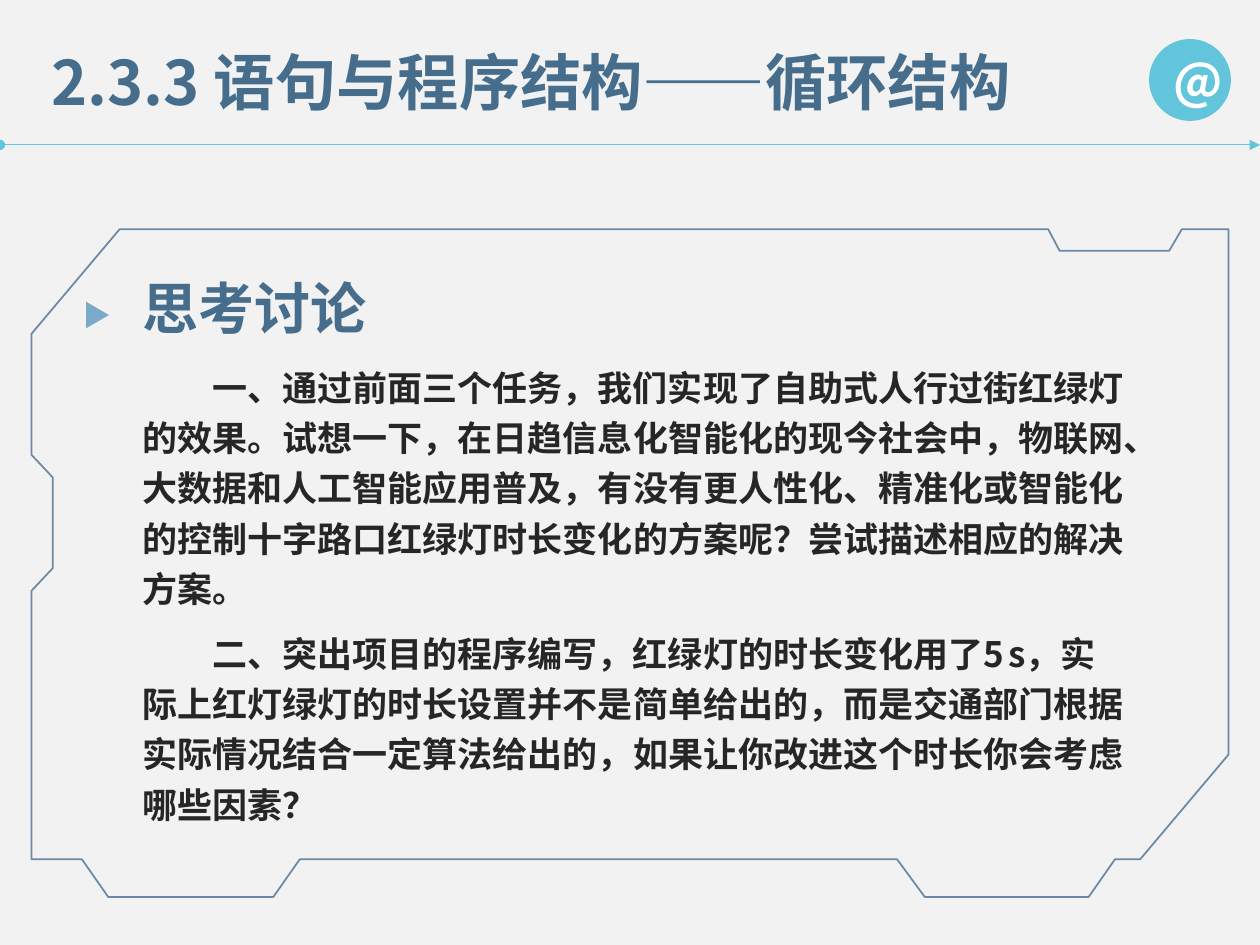
from lxml import etree
from pptx import Presentation
from pptx.dml.color import RGBColor
from pptx.enum.shapes import MSO_CONNECTOR, MSO_SHAPE
from pptx.enum.text import MSO_ANCHOR, MSO_AUTO_SIZE, PP_ALIGN
from pptx.oxml.ns import qn
from pptx.util import Pt

STRAIGHT = MSO_CONNECTOR.STRAIGHT
OVAL = MSO_SHAPE.OVAL
TRIANGLE = MSO_SHAPE.ISOSCELES_TRIANGLE
TOP = MSO_ANCHOR.TOP
MIDDLE = MSO_ANCHOR.MIDDLE
LEFT = PP_ALIGN.LEFT
CENTER = PP_ALIGN.CENTER
NO_AUTOFIT = MSO_AUTO_SIZE.NONE

FONT = "Noto Sans CJK SC"
BACKGROUND = "F2F2F2"
CYAN = "62C5DC"
HEADING = "466E8C"
BODY = "262626"
WHITE = "FFFFFF"
MARKER = "7BA9CA"
FRAME = "1F4E79"

FRAME_OUTLINE = [
    (528.5, 512.6), (622.1, 512.6), (637.2, 491), (651.6, 491),
    (702, 431.3), (702, 131), (675.4, 131), (668.2, 143.3),
    (605.5, 143.3), (599, 131), (68.4, 131), (18, 190.8),
    (18, 259.9), (30.2, 272.9), (30.2, 324.7), (18, 337.7),
    (18, 491), (46.8, 491), (61.9, 512.6), (156.2, 512.6),
    (171.4, 491), (512.6, 491),
]

FIRST_QUESTION = (
    "一、通过前面三个任务，我们实现了自助式人行过街红绿灯的效果。"
    "试想一下，在日趋信息化智能化的现今社会中，物联网、大数据和人工智能应用普及，"
    "有没有更人性化、精准化或智能化的控制十字路口红绿灯时长变化的方案呢？"
    "尝试描述相应的解决方案。"
)
SECOND_QUESTION = [
    ("二、突出项目的程序编写，红绿灯的时长变化用了5", 20),
    (" ", 10),
    ("s，实际上红灯绿灯的时长设置并不是简单给出的，而是交通部门根据实际情况"
     "结合一定算法给出的，如果让你改进这个时长你会考虑哪些因素？", 20),
]


def rgb(value):
    return RGBColor.from_string(value)


def place(shape, left, top, width, height):
    shape.left, shape.top = Pt(left), Pt(top)
    shape.width, shape.height = Pt(width), Pt(height)


def format_run(run, size, color):
    run.font.size = Pt(size)
    run.font.bold = True
    run.font.name = FONT
    run.font.color.rgb = rgb(color)
    properties = run.font._element
    east_asian = etree.SubElement(properties, qn("a:ea"))
    east_asian.set("typeface", FONT)


def write(frame, pieces, color, align=LEFT, anchor=TOP, wrap=True):
    frame.auto_size = NO_AUTOFIT
    frame.word_wrap = wrap
    frame.vertical_anchor = anchor
    paragraph = frame.paragraphs[0]
    paragraph.alignment = align
    for text, size in pieces:
        run = paragraph.add_run()
        run.text = text
        format_run(run, size, color)
    return paragraph


def add_text(slide, box, pieces, color, wrap=True):
    holder = slide.shapes.add_textbox(*map(Pt, box))
    return write(holder.text_frame, pieces, color, wrap=wrap)


def add_question(slide, box, pieces):
    paragraph = add_text(slide, box, pieces, BODY)
    paragraph.line_spacing = 1.2
    paragraph._p.get_or_add_pPr().set("indent", str(Pt(40)))


def add_filled(slide, kind, box, color):
    shape = slide.shapes.add_shape(kind, *map(Pt, box))
    shape.shadow.inherit = False
    shape.fill.solid()
    shape.fill.fore_color.rgb = rgb(color)
    shape.line.fill.background()
    return shape


def add_divider(slide, y):
    divider = slide.shapes.add_connector(STRAIGHT, 0, Pt(y), Pt(720), Pt(y))
    divider.line.color.rgb = rgb(CYAN)
    divider.line.width = Pt(0.5)
    stroke = divider.line._get_or_add_ln()
    for end, kind in (("a:headEnd", "oval"), ("a:tailEnd", "triangle")):
        etree.SubElement(stroke, qn(end)).set("type", kind)
    etree.SubElement(divider._element.spPr, qn("a:effectLst"))


def add_frame(slide):
    corners = [(Pt(x), Pt(y)) for x, y in FRAME_OUTLINE]
    builder = slide.shapes.build_freeform(*corners[0])
    builder.add_line_segments(corners[1:], close=True)
    frame = builder.convert_to_shape()
    frame.shadow.inherit = False
    frame.fill.background()
    frame.line.color.rgb = rgb(FRAME)
    frame.line.width = Pt(1)
    color = frame.line._get_or_add_ln().find(".//" + qn("a:srgbClr"))
    etree.SubElement(color, qn("a:alpha")).set("val", "64000")


def add_title(slide):
    title = slide.shapes.title
    place(title, 22.3, 21.6, 602, 49.7)
    write(title.text_frame, [("2.3.3 语句与程序结构——循环结构", 35)], HEADING)


def main():
    deck = Presentation()
    deck.slide_width, deck.slide_height = Pt(720), Pt(540)
    slide = deck.slides.add_slide(deck.slide_layouts[5])
    slide.background.fill.solid()
    slide.background.fill.fore_color.rgb = rgb(BACKGROUND)

    add_divider(slide, 82.8)
    badge = add_filled(slide, OVAL, (656.6, 22.3, 46.8, 46.8), CYAN)
    write(badge.text_frame, [("@", 28)], WHITE, CENTER, MIDDLE)
    add_frame(slide)
    add_text(slide, (74.2, 152.6, 144, 46), [("思考讨论", 32)], HEADING, wrap=False)
    marker = add_filled(slide, TRIANGLE, (48.2, 173.5, 15.1, 13), MARKER)
    marker.rotation = 90
    add_question(slide, (74.2, 200.9, 576.7, 152.6), [(FIRST_QUESTION, 20)])
    add_question(slide, (74.2, 352.8, 576.7, 123.8), SECOND_QUESTION)
    add_title(slide)
    deck.save("out.pptx")


if __name__ == "__main__":
    main()
